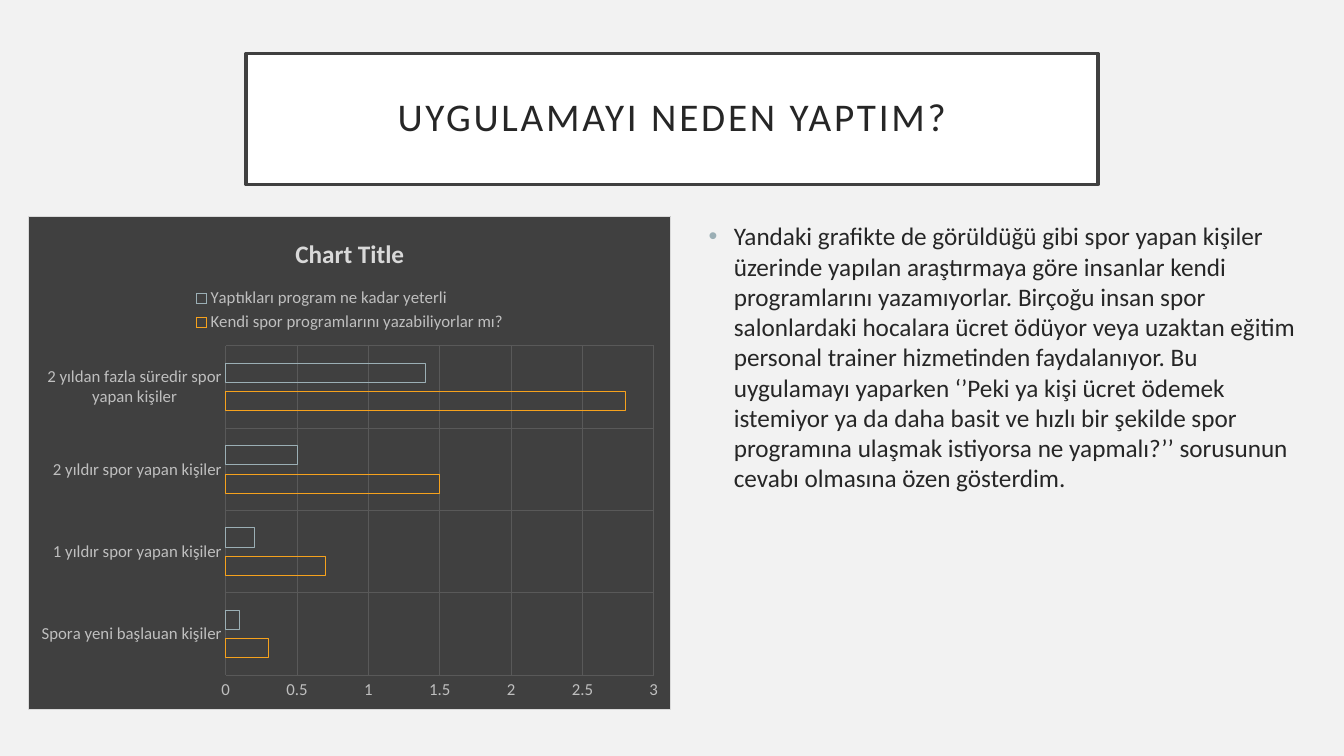
"""Build the slide on why the sports app was made, with a bar chart and a bullet."""
from lxml import etree
from pptx import Presentation, util as u
from pptx.chart.data import CategoryChartData
from pptx.dml.color import RGBColor
from pptx.enum import chart as ch, shapes, text
from pptx.oxml.ns import qn

FONT = "Calibri"
INK, DARK, PAPER, ACCENT = "262626", "404040", "F2F2F2", "9BAFB5"
LABEL, PALE, GRID = "BFBFBF", "D9D9D9", "595959"

TITLE = "UYGULAMAYI NEDEN YAPTIM?"
CHART_TITLE = "Chart Title"
CATEGORIES = [
    "Spora yeni başlauan kişiler",
    "1 yıldır spor yapan kişiler",
    "2 yıldır spor yapan kişiler",
    "2 yıldan fazla süredir spor yapan kişiler",
]
SERIES = [
    ("Kendi spor programlarını yazabiliyorlar mı?", (0.3, 0.7, 1.5, 2.8), "F6A21D"),
    ("Yaptıkları program ne kadar yeterli", (0.1, 0.2, 0.5, 1.4), ACCENT),
]
BODY = (
    "Yandaki grafikte de görüldüğü gibi spor yapan kişiler üzerinde yapılan "
    "araştırmaya göre insanlar kendi programlarını yazamıyorlar. Birçoğu insan "
    "spor salonlardaki hocalara ücret ödüyor veya uzaktan eğitim personal trainer "
    "hizmetinden faydalanıyor. Bu uygulamayı yaparken ‘’Peki ya kişi ücret ödemek "
    "istemiyor ya da daha basit ve hızlı bir şekilde spor programına ulaşmak "
    "istiyorsa ne yapmalı?’’ sorusunun cevabı olmasına özen gösterdim."
)


def rgb(code):
    return RGBColor.from_string(code)


def box(*lengths):
    return [u.Inches(n) for n in lengths]


def style(font, size, color, bold=False):
    font.name, font.size, font.bold = FONT, u.Pt(size), bold
    font.color.rgb = rgb(color)


def outline(line, color, width):
    line.color.rgb = rgb(color)
    line.width = u.Pt(width)


def write(tf, words, size=18, color=INK, bold=False, align=text.PP_ALIGN.LEFT,
          spacing=1.0, before=0, tracking=0, bullet=None):
    tf.word_wrap = True
    p = tf.paragraphs[0]
    p.alignment, p.line_spacing, p.space_before = align, spacing, u.Pt(before)
    r = p.add_run()
    r.text = words
    style(r.font, size, color, bold)
    if tracking:
        r._r.get_or_add_rPr().set("spc", str(tracking * 100))
    if bullet:
        pPr = p._p.get_or_add_pPr()
        pPr.set("marL", str(u.Inches(0.25)))
        pPr.set("indent", str(u.Inches(-0.25)))
        clr = etree.SubElement(pPr, qn("a:buClr"))
        etree.SubElement(clr, qn("a:srgbClr")).set("val", bullet)
        etree.SubElement(pPr, qn("a:buFont")).set("typeface", "Arial")
        etree.SubElement(pPr, qn("a:buChar")).set("char", "•")


def add_title(s):
    sp = s.shapes.add_shape(shapes.MSO_SHAPE.RECTANGLE, *box(2.44, 0.53, 8.45, 1.3))
    sp.shadow.inherit = False
    sp.fill.solid()
    sp.fill.fore_color.rgb = rgb("FFFFFF")
    outline(sp.line, DARK, 2.5)
    tf = sp.text_frame
    tf.vertical_anchor = text.MSO_ANCHOR.MIDDLE
    tf.margin_left = tf.margin_right = tf.margin_top = tf.margin_bottom = u.Inches(0.2)
    write(tf, TITLE, size=28, align=text.PP_ALIGN.CENTER, spacing=0.9, tracking=2)


def add_survey(s):
    data = CategoryChartData()
    data.categories = CATEGORIES
    for name, values, _ in SERIES:
        data.add_series(name, values)
    chart = s.shapes.add_chart(ch.XL_CHART_TYPE.BAR_CLUSTERED,
                               *box(0.28, 2.14, 6.38, 4.9), data).chart
    style(chart.font, 10, LABEL)
    chart.has_title = True
    write(chart.chart_title.text_frame, CHART_TITLE, color=PALE, bold=True,
          align=text.PP_ALIGN.CENTER)
    chart.has_legend = True
    chart.legend.position = ch.XL_LEGEND_POSITION.TOP
    chart.legend.include_in_layout = False
    style(chart.legend.font, 12, LABEL)

    for axis in (chart.category_axis, chart.value_axis):
        axis.major_tick_mark = axis.minor_tick_mark = ch.XL_TICK_MARK.NONE
        axis.format.line.fill.background()
        axis.has_major_gridlines = True
        outline(axis.major_gridlines.format.line, GRID, 0.75)
        style(axis.tick_labels.font, 12, LABEL)

    plot = chart.plots[0]
    plot.vary_by_categories = False
    plot.gap_width, plot.overlap = 182, -50
    for series, (_, _, color) in zip(plot.series, SERIES):
        series.invert_if_negative = False
        series.format.fill.background()
        outline(series.format.line, color, 0.75)

    spPr = etree.Element(qn("c:spPr"))
    fill = etree.SubElement(spPr, qn("a:solidFill"))
    etree.SubElement(fill, qn("a:srgbClr")).set("val", DARK)
    ln = etree.SubElement(spPr, qn("a:ln"), w=str(u.Pt(0.75)))
    fill = etree.SubElement(ln, qn("a:solidFill"))
    etree.SubElement(fill, qn("a:srgbClr")).set("val", PALE)
    chart._chartSpace.find(qn("c:chart")).addnext(spPr)


def main():
    prs = Presentation()
    prs.slide_width, prs.slide_height = box(13.33, 7.5)
    s = prs.slides.add_slide(prs.slide_layouts[6])
    s.background.fill.solid()
    s.background.fill.fore_color.rgb = rgb(PAPER)
    add_title(s)
    add_survey(s)
    body = s.shapes.add_textbox(*box(6.93, 2.14, 6.12, 3.92))
    write(body.text_frame, BODY, before=10, bullet=ACCENT)
    prs.save("out.pptx")


if __name__ == "__main__":
    main()
